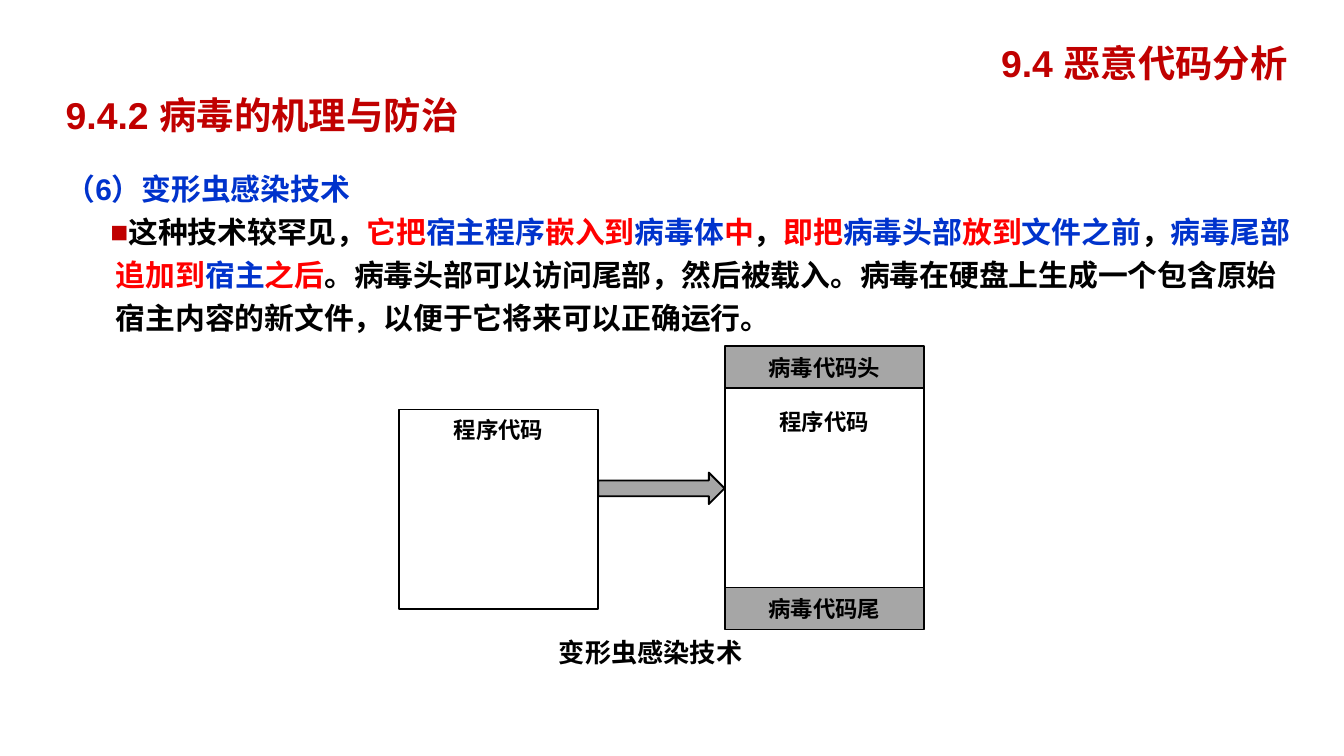
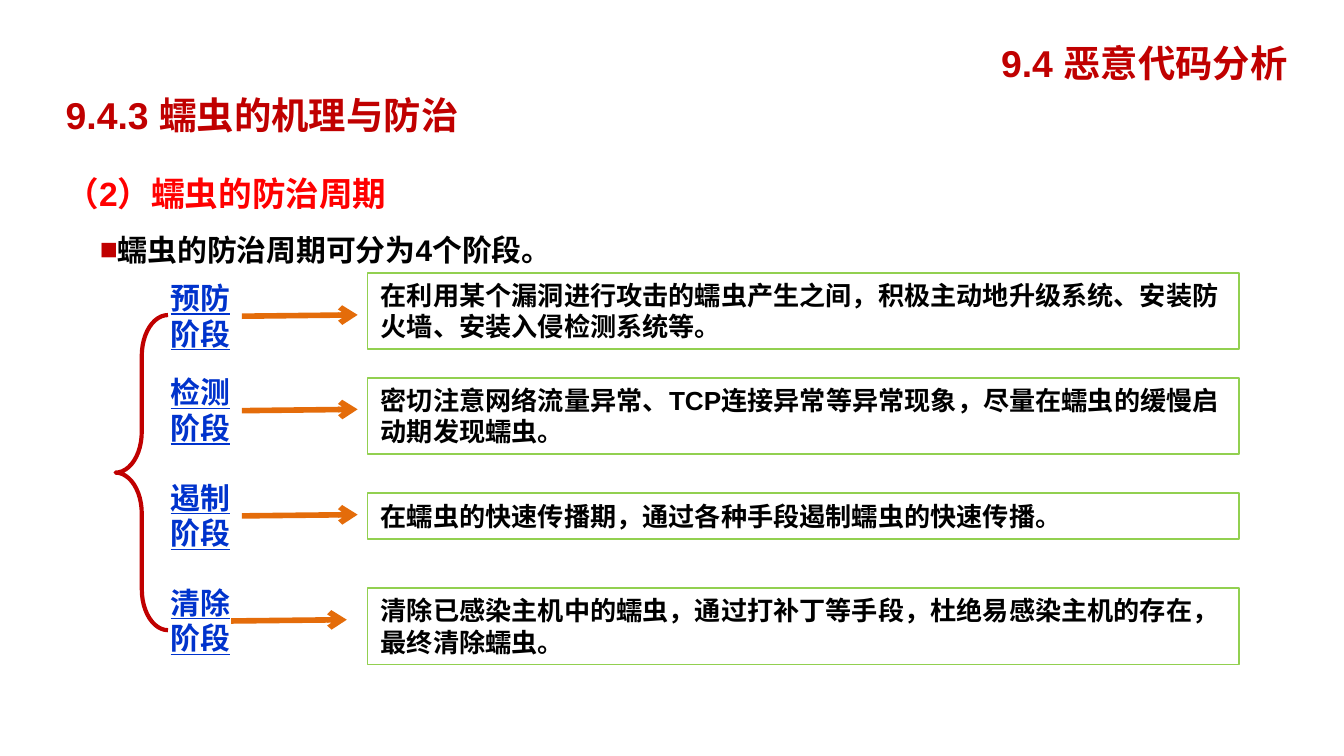
from pptx import Presentation
from pptx.dml.color import RGBColor
from pptx.enum.shapes import MSO_CONNECTOR as Connector, MSO_SHAPE as Shape
from pptx.enum.text import MSO_ANCHOR as Anchor, PP_ALIGN as Align
from pptx.oxml.ns import qn
from pptx.util import Pt
from lxml.etree import SubElement

FONT = "Arial"
DARK_RED, RED, BLUE, BLACK = "C00000", "FF0000", "0033CC", "000000"
WHITE, GREY, GREEN, ORANGE = "FFFFFF", "A6A6A6", "92D050", "E46C0A"
CHAPTER = "9.4 恶意代码分析"
MORPH_TEXT = [
    ("这种技术较罕见，", BLACK), ("它把", RED), ("宿主程序", BLUE), ("嵌入到", RED),
    ("病毒体", BLUE), ("中", RED), ("，", BLACK), ("即把", RED), ("病毒头部", BLUE),
    ("放到", RED), ("文件之前", BLUE), ("，", BLACK), ("病毒尾部", BLUE),
    ("追加到", RED), ("宿主", BLUE), ("之后", RED),
    ("。病毒头部可以访问尾部，然后被载入。病毒在硬盘上生成一个包含原始"
     "宿主内容的新文件，以便于它将来可以正确运行。", BLACK),
]
STAGES = [
    ("预防阶段", 146.2, 146.2, 41, 129.6,
     "在利用某个漏洞进行攻击的蠕虫产生之间，积极主动地升级系统、安装防火墙、安装入侵检测系统等。"),
    ("检测阶段", 196.8, 202.4, 41, 129.6,
     "密切注意网络流量异常、TCP连接异常等异常现象，尽量在蠕虫的缓慢启动期发现蠕虫。"),
    ("遏制阶段", 253.2, 264.3, 24.5, 129.6,
     "在蠕虫的快速传播期，通过各种手段遏制蠕虫的快速传播。"),
    ("清除阶段", 309.5, 315.1, 41, 123.8,
     "清除已感染主机中的蠕虫，通过打补丁等手段，杜绝易感染主机的存在，最终清除蠕虫。"),
]


def color(code):
    """Turn a hex string into a colour."""
    return RGBColor.from_string(code)


def add_span(para, text, size, code, underline=None):
    """Add one bold run to a paragraph."""
    span = para.add_run()
    span.text = text
    font = span.font
    font.name, font.size, font.bold, font.underline = FONT, Pt(size), True, underline
    font.color.rgb = color(code)


def add_text(page, area, text, size, code, align=Align.LEFT, anchor=Anchor.TOP, underline=None):
    """Add a wrapping text box with one paragraph."""
    frame = page.shapes.add_textbox(*map(Pt, area)).text_frame
    frame.word_wrap = True
    frame.vertical_anchor = anchor
    para = frame.paragraphs[0]
    para.alignment = align
    add_span(para, text, size, code, underline)


def add_block(page, kind, area, fill=None, line=BLACK, width=1):
    """Add a preset shape with a plain fill and outline."""
    block = page.shapes.add_shape(kind, *map(Pt, area))
    block.shadow.inherit = False
    if fill:
        block.fill.solid()
        block.fill.fore_color.rgb = color(fill)
    else:
        block.fill.background()
    block.line.color.rgb = color(line)
    block.line.width = Pt(width)
    return block


def fill_block(block, text, size, align=Align.CENTER, anchor=Anchor.MIDDLE, inset=3.6):
    """Write black text into a shape."""
    frame = block.text_frame
    frame.word_wrap = True
    frame.vertical_anchor = anchor
    frame.margin_top = Pt(inset)
    frame.paragraphs[0].alignment = align
    add_span(frame.paragraphs[0], text, size, BLACK)


def add_arrow(page, left, top):
    """Draw an open-headed arrow that rises slightly to the right."""
    arrow = page.shapes.add_connector(
        Connector.STRAIGHT, Pt(left), Pt(top), Pt(left + 62), Pt(top - 0.7))
    arrow.line.color.rgb = color(ORANGE)
    arrow.line.width = Pt(3)
    SubElement(arrow.line._get_or_add_ln(), qn("a:tailEnd"), type="arrow")
    SubElement(arrow._element.spPr, qn("a:effectLst"))


def indent(para, first):
    """Set the hanging indent of a body paragraph."""
    props = para._p.get_or_add_pPr()
    props.set("marL", str(Pt(27)))
    props.set("indent", str(Pt(first)))
    return props


def add_body(page, area, heading, size, code, spans, first, spacing):
    """Add a heading and one bulleted paragraph of coloured spans."""
    frame = page.shapes.add_textbox(*map(Pt, area)).text_frame
    frame.word_wrap = True
    title = frame.paragraphs[0]
    indent(title, -27)
    title.line_spacing = 1.5
    add_span(title, heading, size, code)
    item = frame.add_paragraph()
    props = indent(item, first)
    item.line_spacing = spacing
    SubElement(SubElement(props, qn("a:buClr")), qn("a:srgbClr"), val=DARK_RED)
    SubElement(props, qn("a:buFont"), typeface=FONT)
    SubElement(props, qn("a:buChar"), char="■")
    for text, shade in spans:
        add_span(item, text, 16, shade)


def add_page(deck, section):
    """Add a blank slide with the chapter and section titles."""
    page = deck.slides.add_slide(deck.slide_layouts[6])
    for text, area in ((CHAPTER, (517.7, 11.5, 190.8, 44)),
                       (section, (16.6, 44.6, 247.7, 34))):
        add_text(page, area, text, 20, DARK_RED, Align.CENTER, Anchor.MIDDLE)
    return page


def build_morph_page(deck):
    """Build the slide on the morphing infection technique."""
    page = add_page(deck, "9.4.2 病毒的机理与防治")
    add_body(page, (28, 78.5, 675.4, 101.5), "（6）变形虫感染技术", 16, BLUE,
             MORPH_TEXT, -3, Pt(23))
    side, band, host_left, virus_left, code_top = 106.8, 22.5, 213.7, 388.2, 208
    host = add_block(page, Shape.RECTANGLE, (host_left, 219.4, side, side), WHITE)
    fill_block(host, "程序代码", 12, anchor=Anchor.TOP)
    arrow_left = host_left + side
    add_block(page, Shape.RIGHT_ARROW,
              (arrow_left, 253.2, virus_left - arrow_left, 16.9), GREY)
    add_text(page, (292.4, 337.6, 129.6, 24.5), "变形虫感染技术", 14, BLACK)
    code = add_block(page, Shape.RECTANGLE, (virus_left, code_top, side, side), WHITE)
    fill_block(code, "程序代码", 12, anchor=Anchor.TOP, inset=10.8)
    for text, top in (("病毒代码头", code_top - band), ("病毒代码尾", code_top + side)):
        block = add_block(page, Shape.RECTANGLE, (virus_left, top, side, band), GREY)
        fill_block(block, text, 12)


def build_worm_page(deck):
    """Build the slide on the worm prevention cycle."""
    page = add_page(deck, "9.4.3 蠕虫的机理与防治")
    brace = add_block(page, Shape.LEFT_BRACE, (61.9, 168.8, 28.1, 168.8),
                      line=DARK_RED, width=2.25)
    brace.adjustments[0] = 0.78
    for name, label_top, box_top, height, arrow_left, detail in STAGES:
        add_text(page, (84.4, label_top, 50.4, 46), name, 16, BLUE, underline=True)
        box = add_block(page, Shape.RECTANGLE, (196.9, box_top, 466.9, height), line=GREEN)
        fill_block(box, detail, 14, Align.LEFT, Anchor.TOP)
        add_arrow(page, arrow_left, label_top + 23.2)
    add_body(page, (28, 78.5, 630, 62), "（2）蠕虫的防治周期", 18, RED,
             [("蠕虫的防治周期可分为4个阶段。", BLACK)], -8.6, 1.5)


def main():
    """Build and save the deck."""
    deck = Presentation()
    deck.slide_width, deck.slide_height = Pt(720), Pt(405)
    build_morph_page(deck)
    build_worm_page(deck)
    deck.save("out.pptx")


if __name__ == "__main__":
    main()
